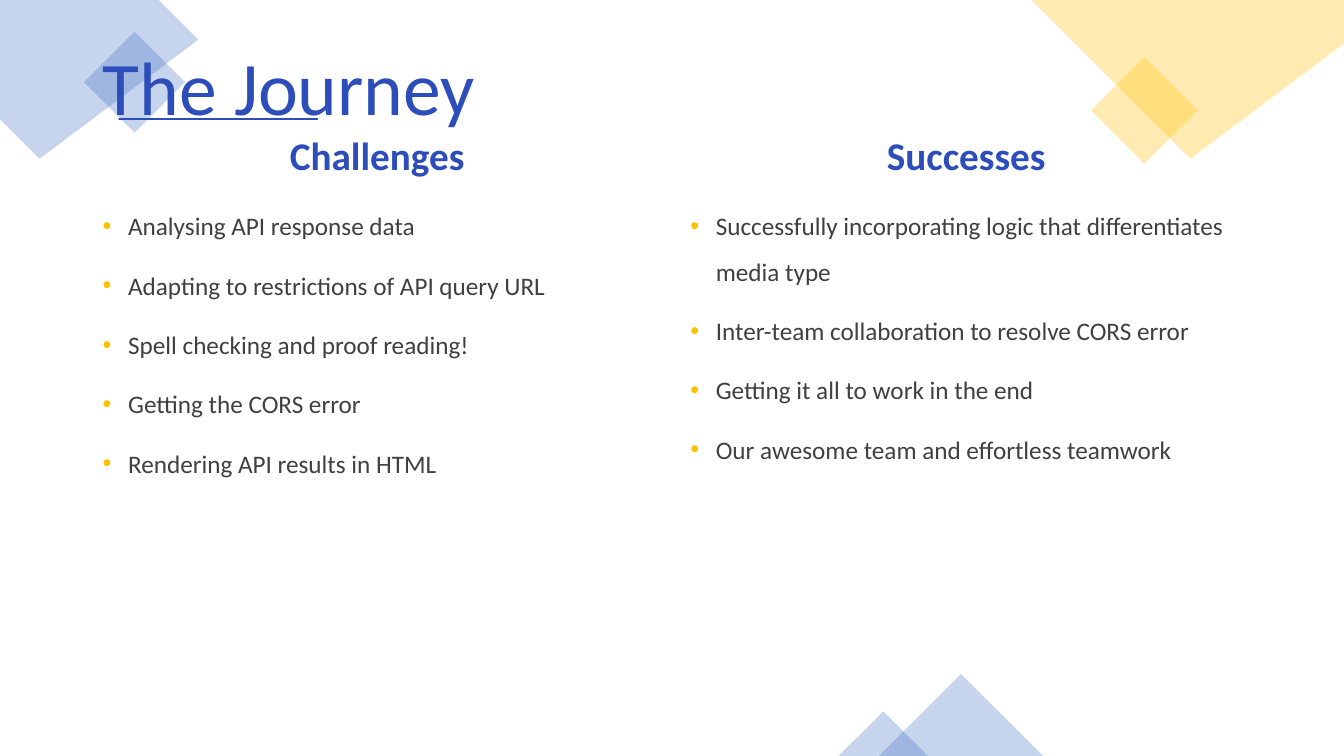
from pptx import Presentation
from pptx.util import Cm, Pt
from pptx.dml.color import RGBColor as RGB
from pptx.enum.shapes import MSO_SHAPE as Shp
from pptx.enum.text import PP_ALIGN as Al, MSO_ANCHOR as Anc, MSO_AUTO_SIZE as Fit
from pptx.oxml import parse_xml
from pptx.oxml.ns import nsdecls
from lxml import etree

BLUE, GOLD, NAVY, GREY = "4472C4", "FFC000", "2C4DBA", "404040"


def tint(fill, hue, alpha=None):
    fill.solid()
    fill.fore_color.rgb = RGB.from_string(hue)
    if alpha:
        node = fill._xPr.find(".//{*}srgbClr")
        etree.SubElement(node, node.tag.replace("srgbClr", "alpha"), val=str(alpha * 1000))


def write(para, text, font, form):
    para.text = text
    for key, val in form.items():
        setattr(para, key, val)
    for key, val in font.items():
        if key == "hue":
            tint(para.font.fill, val)
        else:
            setattr(para.font, key, val)


deck = Presentation()
deck.slide_width, deck.slide_height = Cm(33.87), Cm(19.05)
slide = deck.slides.add_slide(deck.slide_layouts[5])
shapes = slide.shapes

corners = [
    (BLUE, [(3.89, 0), (0, 0), (0, 3.3), (1.04, 4.34), (4.65, 0.76)]),
    (GOLD, [(33.87, 0), (25.98, 0), (30.3, 4.11), (33.87, 0.71)]),
]
decor = []
for hue, pts in corners:
    pen = shapes.build_freeform(*pts[0], scale=Cm(1))
    pen.add_line_segments(pts[1:], close=True)
    decor.append((pen.convert_to_shape(), hue))

presets = [
    (Shp.RECTANGLE, 315, BLUE, (2.49, 1.17, 1.8, 1.8)),
    (Shp.RECTANGLE, 315, GOLD, (27.89, 1.83, 1.9, 1.9)),
    (Shp.ISOSCELES_TRIANGLE, 0, BLUE, (22.15, 16.99, 4.14, 2.06)),
    (Shp.ISOSCELES_TRIANGLE, 0, BLUE, (21.13, 17.93, 2.26, 1.12)),
]
for kind, turn, hue, box in presets:
    shape = shapes.add_shape(kind, *map(Cm, box))
    shape.rotation = turn
    decor.append((shape, hue))

for shape, hue in decor:
    shape.shadow.inherit = False
    shape.line.fill.background()
    tint(shape.fill, hue, 30)

title = shapes.title
shapes._spTree.append(title._element)
title.left, title.top, title.width, title.height = map(Cm, (2.34, 1.02, 29.21, 2.54))
frame = title.text_frame
frame.auto_size, frame.vertical_anchor = Fit.NONE, Anc.MIDDLE
write(frame.paragraphs[0], "The Journey",
      {"name": "Calibri", "size": Pt(54), "hue": NAVY},
      {"alignment": Al.LEFT, "line_spacing": 0.9})

columns = [
    (2.34, 14.33, "Challenges", [
        "Analysing API response data",
        "Adapting to restrictions of API query URL",
        "Spell checking and proof reading!",
        "Getting the CORS error",
        "Rendering API results in HTML"]),
    (17.15, 14.4, "Successes", [
        "Successfully incorporating logic that differentiates media type",
        "Inter-team collaboration to resolve CORS error",
        "Getting it all to work in the end",
        "Our awesome team and effortless teamwork"]),
]
for left, width, head, items in columns:
    frame = shapes.add_textbox(Cm(left), Cm(3.33), Cm(width), Cm(1.4)).text_frame
    frame.word_wrap = True
    write(frame.paragraphs[0], head,
          {"name": "Calibri", "size": Pt(28), "bold": True, "hue": NAVY},
          {"alignment": Al.CENTER, "line_spacing": 0.9})

    frame = shapes.add_textbox(Cm(left), Cm(4.8), Cm(width), Cm(12.4)).text_frame
    frame.word_wrap = True
    for i, item in enumerate(items):
        para = frame.add_paragraph() if i else frame.paragraphs[0]
        props = para._p.get_or_add_pPr()
        props.set("marL", str(Cm(0.64)))
        props.set("indent", str(-Cm(0.64)))
        ns = nsdecls("a")
        for xml in (f'<a:buClr {ns}><a:srgbClr val="{GOLD}"/></a:buClr>',
                    f'<a:buFont {ns} typeface="Arial"/>',
                    f'<a:buChar {ns} char="•"/>'):
            props.append(parse_xml(xml))
        write(para, item, {"name": "Calibri", "size": Pt(18), "hue": GREY},
              {"line_spacing": 1.5, "space_before": Pt(10 if i else 0)})

edge = [(8.13, 2.93), (8.13, 2.97), (8.13, 3)]
fills = [(2.54, 3.18), (3.23, 3.18), (3.84, 3.02), (4.34, 3.1), (4.85, 3.15),
         (5.44, 3.12), (6.05, 3), (6.63, 2.87), (7.26, 2.9), (8.13, 2.9), *edge,
         (7.39, 3.07), (7.04, 3.02), (6.38, 3.07), (5.74, 3.12), (5.16, 3.12),
         (4.42, 3.18), (3.66, 3.25), (2.97, 3.35), (2.54, 3.28)]
rims = [(2.54, 3.18), (3.35, 3.05), (3.68, 3.12), (4.52, 3.07), (5.36, 3.05),
        (5.82, 3.05), (6.43, 2.97), (7.06, 2.92), (7.67, 2.84), (8.13, 2.9), *edge,
        (7.26, 3.02), (6.93, 3.12), (6.38, 3.07), (5.82, 3.05), (5.44, 3.18),
        (4.52, 3.18), (3.61, 3.18), (3.25, 3.18), (2.54, 3.28)]
for pts, solid in ((fills, True), (rims, False)):
    pen = shapes.build_freeform(*pts[0], scale=Cm(1))
    curve = []
    for i in range(0, len(pts) - 1, 3):
        for t in (0.2, 0.4, 0.6, 0.8, 1):
            mix = ((1 - t) ** 3, 3 * t * (1 - t) ** 2, 3 * t * t * (1 - t), t ** 3)
            curve.append([sum(m * p[k] for m, p in zip(mix, pts[i:i + 4])) for k in (0, 1)])
    pen.add_line_segments(curve, close=True)
    stroke = pen.convert_to_shape()
    stroke.shadow.inherit = False
    if solid:
        tint(stroke.fill, BLUE)
        stroke.line.fill.background()
    else:
        stroke.fill.background()
        tint(stroke.line.fill, NAVY)
        stroke.line.width = Pt(1)

deck.save("out.pptx")
